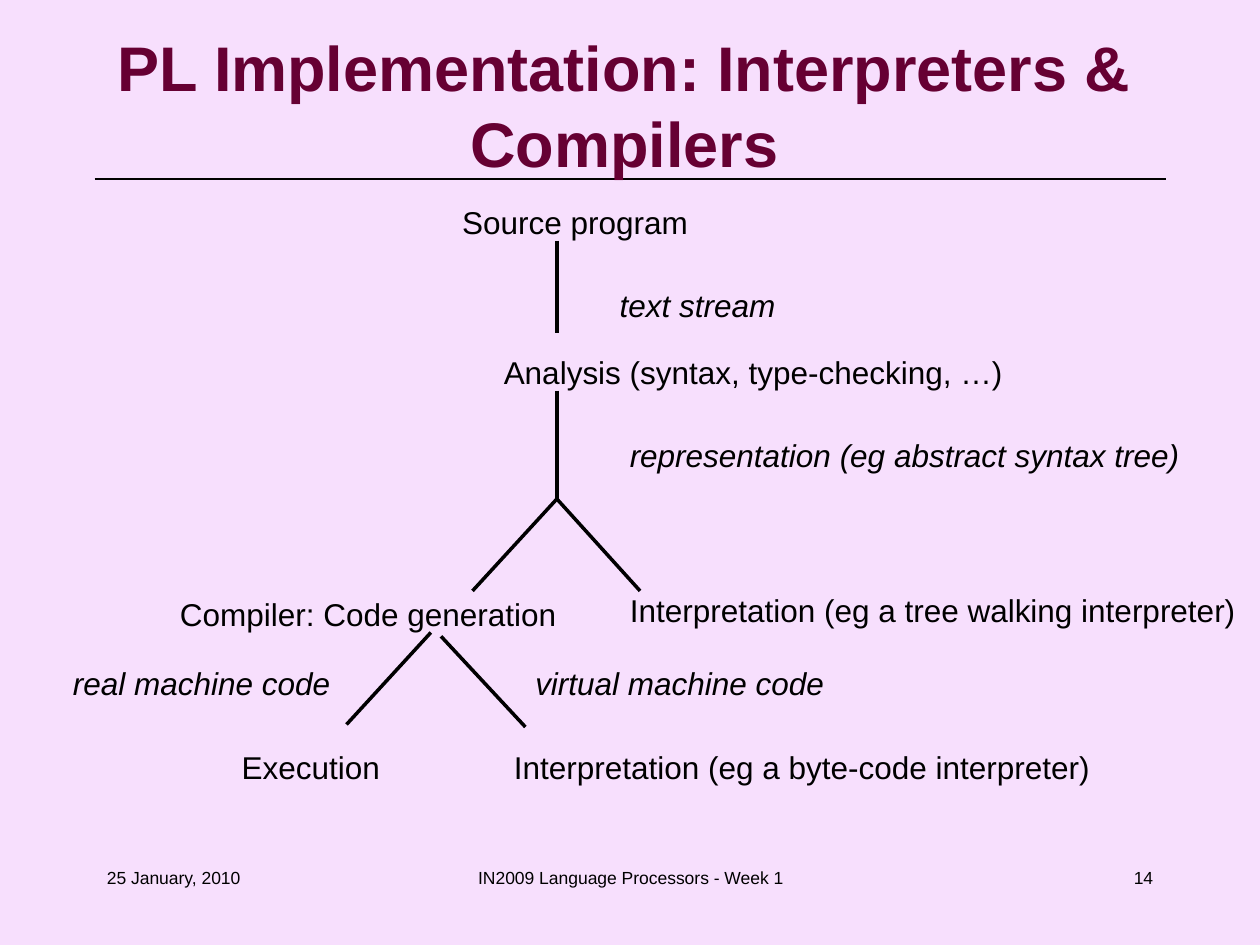
"""Build the slide on interpreters and compilers as a branching diagram."""
from pptx import Presentation
from pptx.dml.color import RGBColor
from pptx.enum.shapes import MSO_CONNECTOR
from pptx.enum.text import MSO_ANCHOR, MSO_AUTO_SIZE, PP_ALIGN
from pptx.oxml.ns import qn
from pptx.util import Inches, Pt
from lxml.etree import SubElement

COLORS = {"background": "F7DFFD", "title": "660033", "ink": "000000"}


def add_text(text, left, top, width, height, size, color="ink", align=PP_ALIGN.LEFT):
    box = page.shapes.add_textbox(Inches(left), Inches(top), Inches(width), Inches(height))
    box.text_frame.text = text
    box.text_frame.word_wrap = True
    para = box.text_frame.paragraphs[0]
    para.alignment = align
    font = para.runs[0].font
    font.name = "Arial"
    font.size = Pt(size)
    font.color.rgb = RGBColor.from_string(COLORS[color])
    return box.text_frame, font


def add_line(start, end, width):
    line = page.shapes.add_connector(
        MSO_CONNECTOR.STRAIGHT, *[Inches(value) for value in (*start, *end)])
    line.line.color.rgb = RGBColor.from_string(COLORS["ink"])
    line.line.width = Pt(width)
    SubElement(line._element.spPr, qn("a:effectLst"))


deck = Presentation()
deck.slide_width, deck.slide_height = Inches(10), Inches(7.5)
page = deck.slides.add_slide(deck.slide_layouts[6])
page.background.fill.solid()
page.background.fill.fore_color.rgb = RGBColor.from_string(COLORS["background"])

add_line((0.75, 1.42), (9.25, 1.42), 0.75)
frame, font = add_text("PL Implementation: Interpreters & Compilers",
                       0.08, 0.33, 9.75, 1, 36, "title", PP_ALIGN.CENTER)
frame.vertical_anchor = MSO_ANCHOR.MIDDLE
font.bold = True

fork = (4.42, 3.96)
branches = [
    ((4.42, 1.91), (4.42, 2.64)),
    ((4.42, 3.1), fork),
    (fork, (3.75, 4.69)),
    (fork, (5.08, 4.69)),
    ((3.42, 5.02), (2.75, 5.75)),
    ((3.5, 5.05), (4.17, 5.77)),
]
for start, end in branches:
    add_line(start, end, 2)

stages = [
    ("Source program", 3.57, 1.56, 1.99),
    ("Analysis (syntax, type-checking, …)", 3.9, 2.75, 4.16),
    ("Compiler: Code generation", 1.33, 4.67, 3.19),
    ("Interpretation (eg a tree walking interpreter)", 4.9, 4.64, 5.01),
    ("Execution", 1.82, 5.89, 1.3),
    ("Interpretation (eg a byte-code interpreter)", 3.98, 5.89, 4.77),
]
products = [
    ("text stream", 4.82, 2.22, 1.44),
    ("representation (eg abstract syntax tree)", 4.9, 3.41, 4.57),
    ("virtual machine code", 4.15, 5.22, 2.5),
    ("real machine code", 0.48, 5.22, 2.25),
]
for labels, italic in ((stages, False), (products, True)):
    for text, left, top, width in labels:
        frame, font = add_text(text, left, top, width, 0.4, 18)
        frame.word_wrap = False
        frame.auto_size = MSO_AUTO_SIZE.SHAPE_TO_FIT_TEXT
        font.italic = italic

footers = [
    ("25 January, 2010", 0.75, 2.08, PP_ALIGN.LEFT),
    ("IN2009 Language Processors - Week 1", 3.42, 3.17, PP_ALIGN.CENTER),
    ("14", 7.17, 2.08, PP_ALIGN.RIGHT),
]
for text, left, width, align in footers:
    add_text(text, left, 6.83, width, 0.5, 10, align=align)

deck.save("out.pptx")
